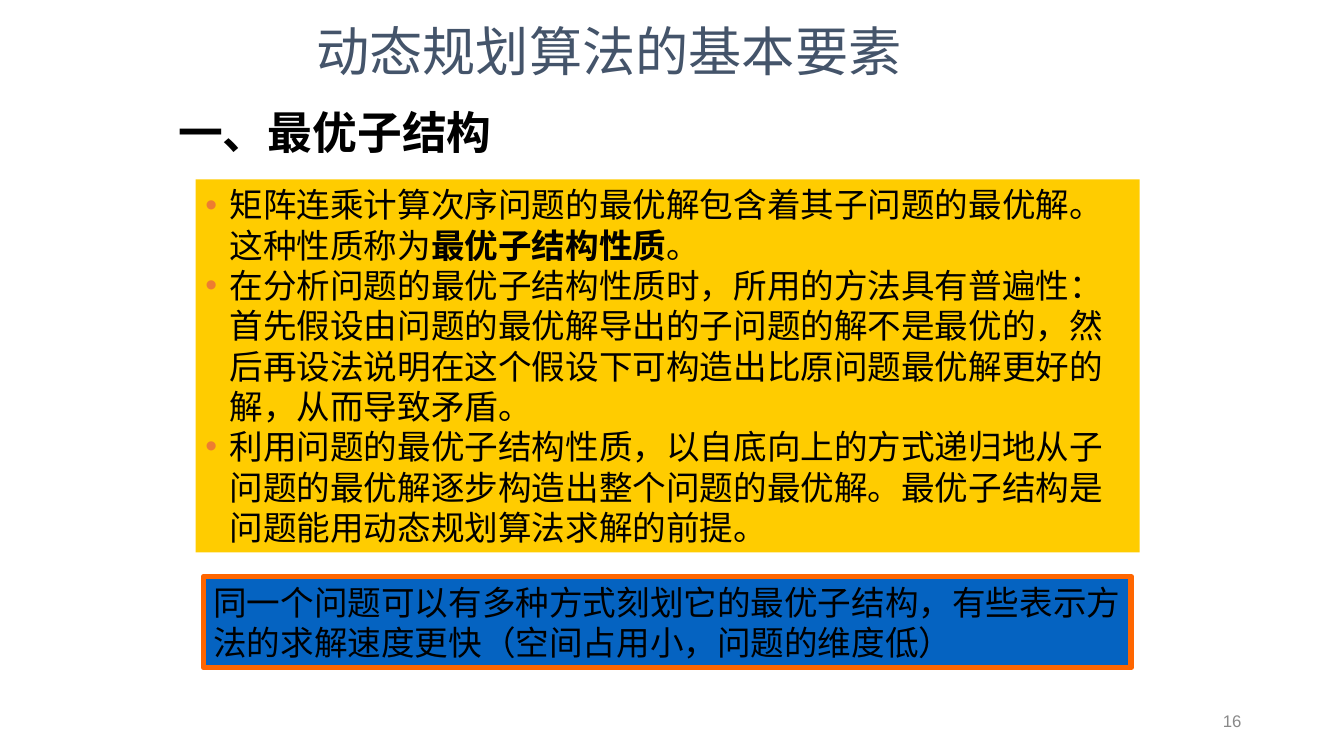
from lxml.etree import SubElement
from pptx import Presentation
from pptx.dml.color import RGBColor
from pptx.enum.shapes import MSO_SHAPE
from pptx.enum.text import MSO_ANCHOR, MSO_AUTO_SIZE, PP_ALIGN
from pptx.oxml.ns import qn
from pptx.util import Cm, Pt

BLACK = RGBColor(0x00, 0x00, 0x00)
SLATE = RGBColor(0x44, 0x54, 0x6A)
GREY = RGBColor(0x89, 0x89, 0x89)
YELLOW = RGBColor(0xFF, 0xCC, 0x00)
BLUE = RGBColor(0x05, 0x63, 0xC1)
ORANGE = RGBColor(0xFF, 0x66, 0x00)
BULLET_ORANGE = RGBColor(0xED, 0x7D, 0x31)

TITLE = "动态规划算法的基本要素"
HEADING = "一、最优子结构"
# Each point is a list of (text, bold) runs
POINTS = [
    [("矩阵连乘计算次序问题的最优解包含着其子问题的最优解。这种性质称为", False),
     ("最优子结构性质", True),
     ("。", False)],
    [("在分析问题的最优子结构性质时，所用的方法具有普遍性：首先假设由问题的最优解导出的"
      "子问题的解不是最优的，然后再设法说明在这个假设下可构造出比原问题最优解更好的解，"
      "从而导致矛盾。", False)],
    [("利用问题的最优子结构性质，以自底向上的方式递归地从子问题的最优解逐步构造出整个问题"
      "的最优解。最优子结构是问题能用动态规划算法求解的前提。", False)],
]
REMARK = "同一个问题可以有多种方式刻划它的最优子结构，有些表示方法的求解速度更快（空间占用小，问题的维度低）"
PAGE_NUMBER = "16"

LINE_PITCH = 1.2  # line height as a multiple of the text size
BULLET_INDENT = Cm(0.61)


def add_bullet(paragraph):
    properties = paragraph._p.get_or_add_pPr()
    properties.set("marL", str(BULLET_INDENT))
    properties.set("indent", str(-BULLET_INDENT))
    bullet_color = SubElement(properties, qn("a:buClr"))
    SubElement(bullet_color, qn("a:srgbClr"), val=str(BULLET_ORANGE))
    SubElement(properties, qn("a:buFont"), typeface="Arial")
    SubElement(properties, qn("a:buChar"), char="•")


def write(shape, paragraphs, size, color=BLACK, font="Arial", align=PP_ALIGN.LEFT,
          anchor=MSO_ANCHOR.TOP, wrap=True, bulleted=False):
    frame = shape.text_frame
    frame.word_wrap = wrap
    frame.auto_size = MSO_AUTO_SIZE.NONE
    frame.vertical_anchor = anchor
    for index, runs in enumerate(paragraphs):
        paragraph = frame.add_paragraph() if index else frame.paragraphs[0]
        if bulleted:
            add_bullet(paragraph)
        paragraph.alignment = align
        paragraph.line_spacing = Pt(size * LINE_PITCH)
        for text, bold in runs:
            run = paragraph.add_run()
            run.text = text
            run.font.name = font
            run.font.size = Pt(size)
            run.font.bold = bold
            run.font.color.rgb = color


def add_panel(slide, left, top, width, height, fill):
    panel = slide.shapes.add_shape(MSO_SHAPE.RECTANGLE, left, top, width, height)
    panel.shadow.inherit = False
    panel.fill.solid()
    panel.fill.fore_color.rgb = fill
    panel.line.fill.background()
    return panel


def main():
    deck = Presentation()
    deck.slide_width, deck.slide_height = Cm(33.88), Cm(19.05)
    slide = deck.slides.add_slide(deck.slide_layouts[5])

    title = slide.shapes.title
    title.left, title.top, title.width, title.height = Cm(7.72), Cm(0), Cm(17.8), Cm(2.21)
    write(title, [[(TITLE, False)]], 38, SLATE, "Times New Roman", anchor=MSO_ANCHOR.BOTTOM)

    heading = slide.shapes.add_textbox(Cm(4.24), Cm(2.51), Cm(8.41), Cm(1.63))
    write(heading, [[(HEADING, True)]], 32, align=PP_ALIGN.CENTER, wrap=False)

    points = add_panel(slide, Cm(4.93), Cm(4.52), Cm(23.8), Cm(9.4), YELLOW)
    write(points, POINTS, 24, bulleted=True)

    remark = add_panel(slide, Cm(5.13), Cm(14.53), Cm(23.39), Cm(2.29), BLUE)
    remark.line.color.rgb = ORANGE
    remark.line.width = Pt(4)
    write(remark, [[(REMARK, False)]], 24)

    page_number = slide.shapes.add_textbox(Cm(23.93), Cm(17.65), Cm(7.62), Cm(1.02))
    write(page_number, [[(PAGE_NUMBER, False)]], 12, GREY, align=PP_ALIGN.RIGHT,
          anchor=MSO_ANCHOR.MIDDLE)

    deck.save("out.pptx")


if __name__ == "__main__":
    main()
